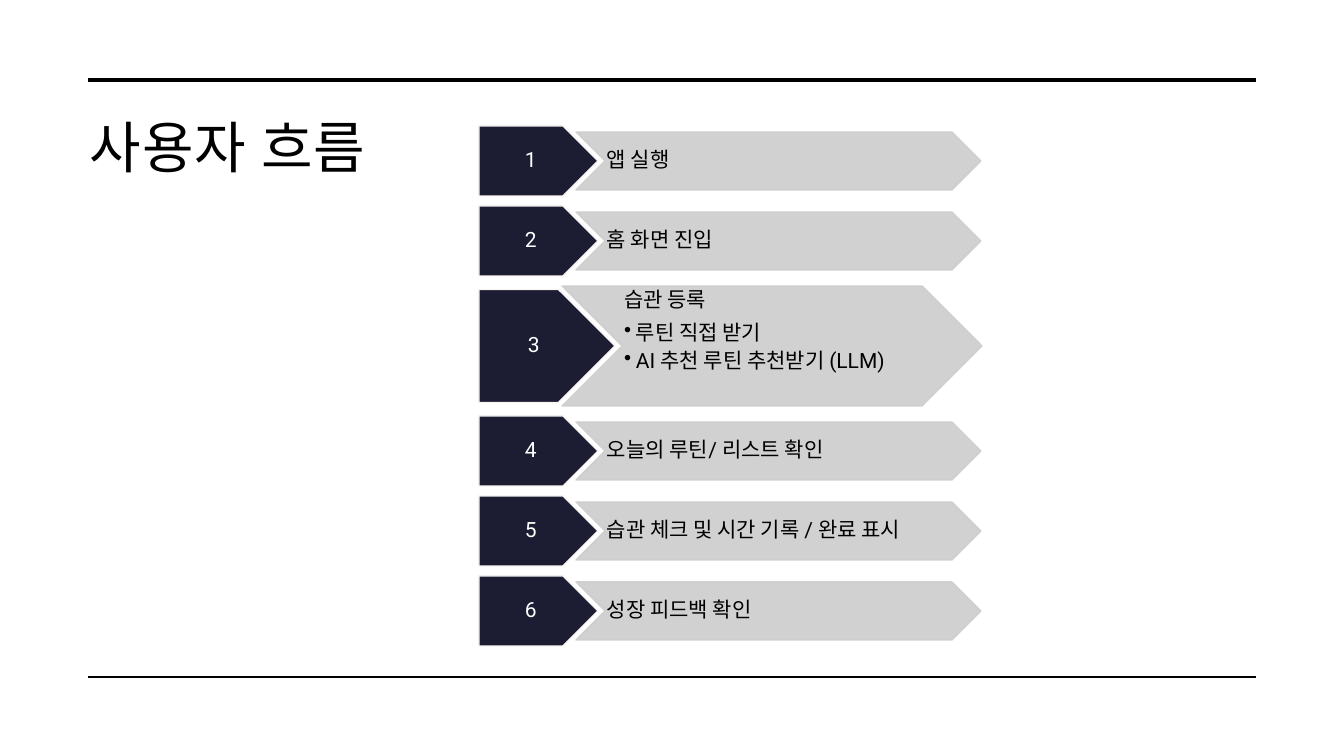
"""Build the user flow slide: a title beside six numbered arrow steps."""
from dataclasses import dataclass

from lxml.etree import SubElement
from pptx import Presentation
from pptx.dml.color import RGBColor
from pptx.enum.shapes import MSO_CONNECTOR, MSO_SHAPE
from pptx.enum.text import MSO_ANCHOR, PP_ALIGN
from pptx.oxml.ns import qn
from pptx.util import Emu, Pt


@dataclass(frozen=True)
class Theme:
    """Colours, font and type sizes."""
    ink: RGBColor = RGBColor(0x00, 0x00, 0x00)
    paper: RGBColor = RGBColor(0xFF, 0xFF, 0xFF)
    navy: RGBColor = RGBColor(0x1C, 0x1C, 0x32)
    edge: RGBColor = RGBColor(0xF8, 0xF4, 0xF1)
    grey: RGBColor = RGBColor(0xCD, 0xCD, 0xCE)
    font: str = "Roboto"
    title_size: int = 40
    step_size: int = 15


@dataclass(frozen=True)
class Row:
    """Sizes of one step, in px."""
    height: int
    plate_width: int
    plate_height: int
    arrow_left: int
    arrow_width: int
    arrow_height: int


THEME = Theme()
SCALE = 12192000 / 1344
PLAIN_ROW = Row(70, 119, 70, 576, 405, 58)
TALL_ROW = Row(120, 136, 113, 562, 420, 120)
STEPS_LEFT, STEPS_TOP, STEP_GAP = 479, 126, 10
RULE_LEFT, RULE_RIGHT = 88, 1256
STEPS = [
    ("앱 실행", []),
    ("홈 화면 진입", []),
    ("습관 등록", ["루틴 직접 받기", "AI 추천 루틴 추천받기 (LLM)"]),
    ("오늘의 루틴/ 리스트 확인", []),
    ("습관 체크 및 시간 기록 / 완료 표시", []),
    ("성장 피드백 확인", []),
]


def px(length):
    """Turn px into EMU."""
    return Emu(round(length * SCALE))


def set_margins(frame, left, top, right, bottom):
    """Set the text insets in px and wrap the text."""
    frame.margin_left, frame.margin_top = px(left), px(top)
    frame.margin_right, frame.margin_bottom = px(right), px(bottom)
    frame.word_wrap = True


def style_text(para, text, size, colour):
    """Fill a paragraph and set its font."""
    para.text = text
    para.font.name = THEME.font
    para.font.size = Pt(size)
    para.font.color.rgb = colour


def add_rule(page, y, weight):
    """Draw a horizontal rule across the page."""
    rule = page.shapes.add_connector(
        MSO_CONNECTOR.STRAIGHT, px(RULE_LEFT), px(y), px(RULE_RIGHT), px(y))
    rule.line.color.rgb = THEME.ink
    rule.line.width = Pt(weight)
    SubElement(rule._element.spPr, qn("a:effectLst"))


def add_title(page, text):
    """Write the slide title with slightly open letter spacing."""
    box = page.shapes.add_textbox(px(78), px(101), px(372), px(87))
    set_margins(box.text_frame, 12, 12, 12, 10)
    para = box.text_frame.paragraphs[0]
    style_text(para, text, THEME.title_size, THEME.ink)
    para._p.pPr.find(qn("a:defRPr")).set("spc", "80")


def add_block(page, kind, left, middle, width, height, fill, edge):
    """Add a preset shape centred on a height, ready for text."""
    block = page.shapes.add_shape(
        kind, px(left), px(middle - height / 2), px(width), px(height))
    block.shadow.inherit = False
    block.fill.solid()
    block.fill.fore_color.rgb = fill
    block.line.color.rgb = edge
    block.line.width = Pt(1)
    set_margins(block.text_frame, 2, 1, 0, 1)
    block.text_frame.vertical_anchor = MSO_ANCHOR.MIDDLE
    return block


def make_translucent(block):
    """Let a tenth of the background show through fill and line."""
    for colour in block._element.spPr.iter(qn("a:srgbClr")):
        SubElement(colour, qn("a:alpha")).set("val", "90000")


def add_bullet(frame, text):
    """Append a bulleted line with a hanging indent."""
    para = frame.add_paragraph()
    style_text(para, text, THEME.step_size, THEME.ink)
    para.alignment = PP_ALIGN.LEFT
    para.space_after = Pt(2.25)
    properties = para._p.pPr
    properties.set("marL", str(px(12)))
    properties.set("indent", str(px(-12)))
    bullet = properties.makeelement(qn("a:buChar"), {"char": "•"})
    properties.find(qn("a:defRPr")).addprevious(bullet)


def add_step(page, row, top, number, heading, bullets):
    """Add a numbered plate and the arrow that describes the step."""
    middle = top + row.height / 2
    plate = add_block(page, MSO_SHAPE.PENTAGON, STEPS_LEFT, middle,
                      row.plate_width, row.plate_height, THEME.navy, THEME.edge)
    label = plate.text_frame.paragraphs[0]
    style_text(label, str(number), THEME.step_size, THEME.paper)
    label.alignment = PP_ALIGN.CENTER
    label.line_spacing = 0.9

    arrow = add_block(page, MSO_SHAPE.CHEVRON, row.arrow_left, middle,
                      row.arrow_width, row.arrow_height, THEME.grey, THEME.grey)
    make_translucent(arrow)
    frame = arrow.text_frame
    para = frame.paragraphs[0]
    style_text(para, heading, THEME.step_size, THEME.ink)
    para.alignment = PP_ALIGN.LEFT
    if bullets:
        frame.vertical_anchor = MSO_ANCHOR.TOP
        para.space_after = Pt(5.25)
    else:
        para.line_spacing = 0.9
    for text in bullets:
        add_bullet(frame, text)


def main():
    """Build and save the deck."""
    deck = Presentation()
    deck.slide_width, deck.slide_height = px(1344), px(756)
    page = deck.slides.add_slide(deck.slide_layouts[6])
    add_rule(page, 80, 3.5)
    add_rule(page, 677, 1)
    add_title(page, "사용자 흐름")
    top = STEPS_TOP
    for number, (heading, bullets) in enumerate(STEPS, 1):
        row = TALL_ROW if bullets else PLAIN_ROW
        add_step(page, row, top, number, heading, bullets)
        top += row.height + STEP_GAP
    deck.save("out.pptx")


if __name__ == "__main__":
    main()
